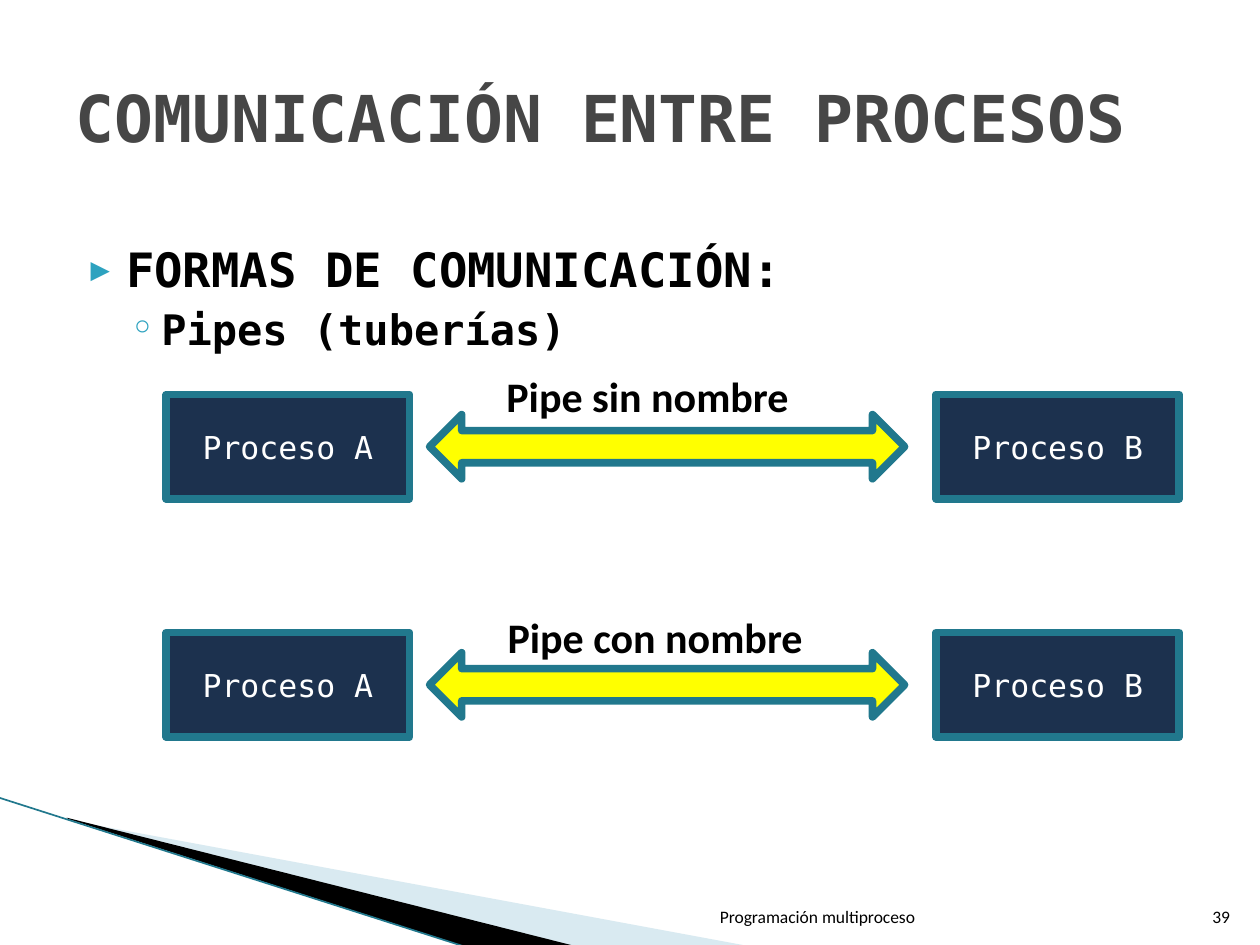
import pptx
import pptx.util
import pptx.dml.color
import pptx.enum.shapes
import pptx.enum.text
import pptx.oxml
import pptx.oxml.ns
from lxml import etree

Inches, Pt = pptx.util.Inches, pptx.util.Pt
RGBColor = pptx.dml.color.RGBColor
MSO_SHAPE = pptx.enum.shapes.MSO_SHAPE
PP_ALIGN = pptx.enum.text.PP_ALIGN
MSO_ANCHOR = pptx.enum.text.MSO_ANCHOR
qn = pptx.oxml.ns.qn

BLACK = RGBColor(0x00, 0x00, 0x00)
WHITE = RGBColor(0xFF, 0xFF, 0xFF)
GREY = RGBColor(0x46, 0x46, 0x46)
NAVY = RGBColor(0x1C, 0x31, 0x4E)
TEAL = RGBColor(0x21, 0x78, 0x8D)
YELLOW = RGBColor(0xFF, 0xFF, 0x00)
PALE_BLUE = RGBColor(0xA0, 0xCB, 0xDC)
BULLET_COLOR = RGBColor(0x2D, 0xA2, 0xBF)

MONO, SANS = "DejaVu Sans Mono", "Calibri"


def place(sp, left, top, width, height):
    sp.left, sp.top = Inches(left), Inches(top)
    sp.width, sp.height = Inches(width), Inches(height)


def style_text(p, font, size, color, bold=False, align=PP_ALIGN.LEFT):
    p.alignment = align
    for r in p.runs:
        r.font.name, r.font.size, r.font.bold = font, Pt(size), bold
        r.font.color.rgb = color


def set_bullet(p, char, margin, hanging, percent):
    pPr = p._p.get_or_add_pPr()
    pPr.set("marL", str(Inches(margin)))
    pPr.set("indent", str(-Inches(hanging)))
    color = etree.SubElement(pPr, qn("a:buClr"))
    etree.SubElement(color, qn("a:srgbClr"), val=str(BULLET_COLOR))
    etree.SubElement(pPr, qn("a:buSzPct"), val=str(percent * 1000))
    etree.SubElement(pPr, qn("a:buFont"), typeface=MONO)
    etree.SubElement(pPr, qn("a:buChar"), char=char)


def add_wedge(slide, points, color, opacity=100):
    """Filled outline through points given in hundredths of an inch."""
    builder = slide.shapes.build_freeform(*points[0], scale=Inches(0.01))
    builder.add_line_segments(points[1:], close=True)
    sp = builder.convert_to_shape()
    sp.shadow.inherit = False
    sp.fill.solid()
    sp.fill.fore_color.rgb = color
    sp.line.fill.background()
    if opacity < 100:
        clr = sp._element.spPr.find(qn("a:solidFill"))[0]
        etree.SubElement(clr, qn("a:alpha"), val=str(opacity * 1000))


def add_corner_decoration(slide):
    add_wedge(slide, [(55, 651), (595, 751), (456, 751), (55, 650)], PALE_BLUE, 40)
    add_wedge(slide, [(53, 649), (457, 751), (372, 752), (54, 650)], BLACK)
    line = slide.shapes.add_connector(
        pptx.enum.shapes.MSO_CONNECTOR.STRAIGHT,
        Inches(-0.01), Inches(6.33), Inches(3.71), Inches(7.52))
    line.line.color.rgb = TEAL
    line.line.width = Pt(0.95)
    etree.SubElement(line._element.spPr, qn("a:effectLst"))


def add_label(shapes, box, text, size, bold, align, anchor):
    sp = shapes.add_textbox(*map(Inches, box))
    tf = sp.text_frame
    tf.word_wrap = True
    tf.vertical_anchor = anchor
    tf.text = text
    style_text(tf.paragraphs[0], SANS, size, BLACK, bold, align)


def add_outlined(shapes, kind, box, fill, text=""):
    sp = shapes.add_shape(kind, *map(Inches, box))
    sp.shadow.inherit = False
    sp.fill.solid()
    sp.fill.fore_color.rgb = fill
    sp.line.color.rgb = TEAL
    sp.line.width = Pt(4.33)
    if text:
        sp.text_frame.text = text
        sp.text_frame.vertical_anchor = MSO_ANCHOR.MIDDLE
        style_text(sp.text_frame.paragraphs[0], MONO, 18, WHITE,
                   align=PP_ALIGN.CENTER)


def add_pipe_diagram(slide, top, caption, caption_left, caption_top):
    """Two processes joined by a double arrow with a caption above it."""
    shapes = slide.shapes.add_group_shape().shapes
    add_outlined(shapes, MSO_SHAPE.LEFT_RIGHT_ARROW,
                 (3.41, top + 0.16, 3.77, 0.51), YELLOW)
    for left, name in ((1.32, "Proceso A"), (7.43, "Proceso B")):
        add_outlined(shapes, MSO_SHAPE.RECTANGLE, (left, top, 1.93, 0.83),
                     NAVY, name)
    add_label(shapes, (caption_left, caption_top, 3.14, 0.51), caption, 24,
              True, PP_ALIGN.CENTER, MSO_ANCHOR.TOP)


def fill_title(sp, text):
    place(sp, 0.5, 0.3, 9.15, 1.25)
    tf = sp.text_frame
    tf.text = text
    tf.auto_size = pptx.enum.text.MSO_AUTO_SIZE.NONE
    tf.vertical_anchor = MSO_ANCHOR.MIDDLE
    style_text(tf.paragraphs[0], MONO, 36.9, GREY, True)


def fill_body(sp):
    place(sp, 0.5, 1.86, 9, 4.71)
    tf = sp.text_frame
    tf.auto_size = pptx.enum.text.MSO_AUTO_SIZE.NONE
    tf.text = "FORMAS DE COMUNICACIÓN:\nPipes (tuberías)"
    heading, item = tf.paragraphs
    item.level = 1
    set_bullet(heading, "▶", 0.4, 0.28, 68)
    set_bullet(item, "◦", 0.68, 0.25, 100)
    heading.space_before, item.space_before = Pt(0), Pt(3.2)
    style_text(heading, MONO, 27, BLACK, True, PP_ALIGN.JUSTIFY)
    style_text(item, MONO, 24, BLACK, True, PP_ALIGN.JUSTIFY)


def main():
    prs = pptx.Presentation()
    prs.slide_width, prs.slide_height = Inches(10), Inches(7.5)
    slide = prs.slides.add_slide(prs.slide_layouts[1])
    add_corner_decoration(slide)
    fill_title(slide.shapes.title, "COMUNICACIÓN ENTRE PROCESOS")
    fill_body(slide.placeholders[1])
    for left, width, text in ((4.79, 2.57, "Programación multiproceso"),
                              (9.46, 0.4, "39")):
        add_label(slide.shapes, (left, 7.01, width, 0.4), text, 10, False,
                  PP_ALIGN.RIGHT, MSO_ANCHOR.BOTTOM)
    add_pipe_diagram(slide, 3.13, "Pipe sin nombre", 3.57, 2.89)
    add_pipe_diagram(slide, 5.02, "Pipe con nombre", 3.63, 4.8)
    prs.save("out.pptx")


if __name__ == "__main__":
    main()
